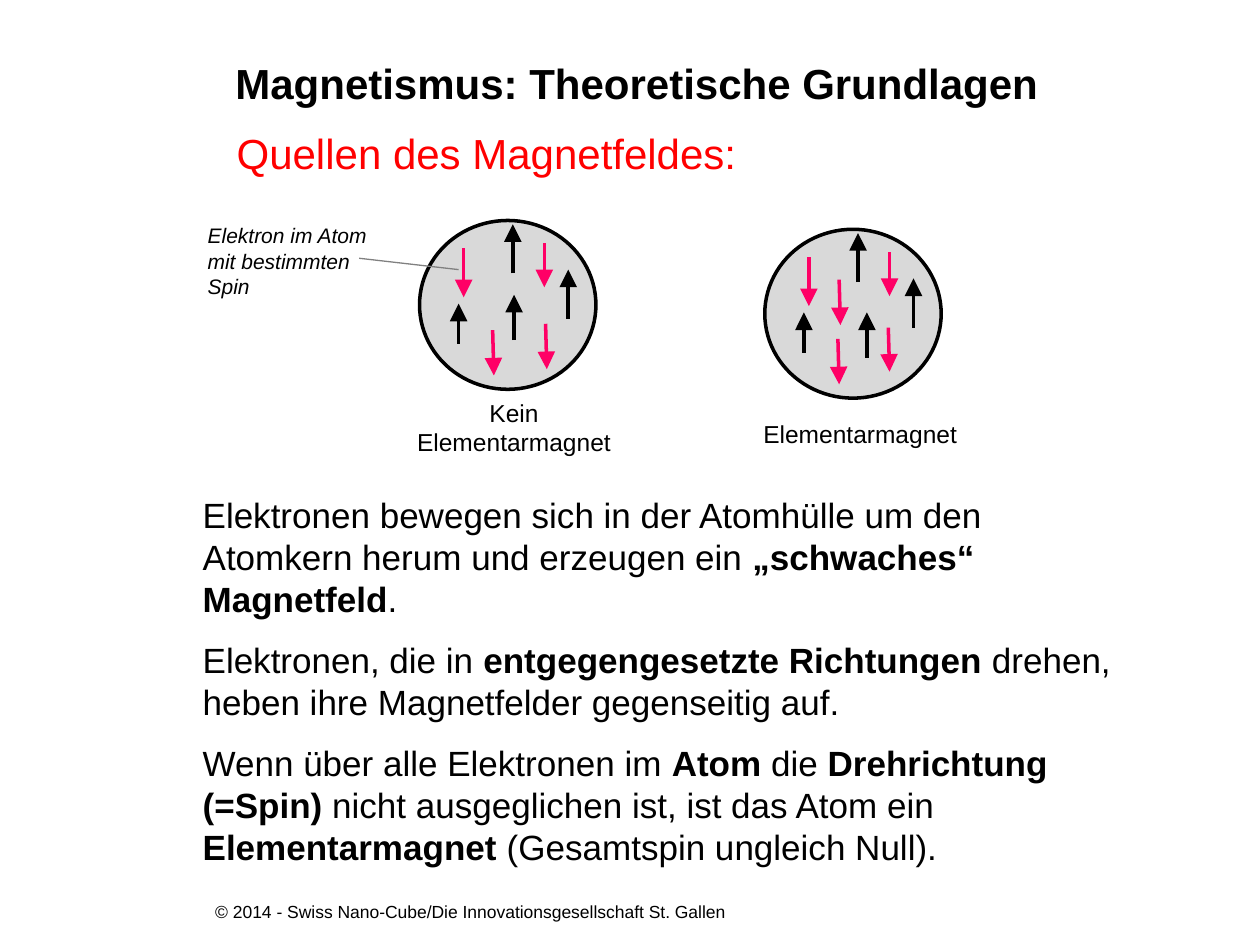
"""Builds the slide on the sources of the magnetic field."""
from lxml.etree import SubElement
from pptx import Presentation
from pptx.dml.color import RGBColor
from pptx.enum.shapes import MSO_CONNECTOR as Connector, MSO_SHAPE as Shape
from pptx.enum.text import MSO_ANCHOR as Anchor, PP_ALIGN as Align
from pptx.oxml.ns import qn
from pptx.util import Inches, Pt

COLORS = {"ink": "000000", "heading": "FF0000", "atom": "D9D9D9",
          "spin_up": "000000", "spin_down": "FF0066", "leader": "808080"}
FONT = "Arial"
ATOM_SIZE = (1.4, 1.34)

TITLE = "Magnetismus: Theoretische Grundlagen"
HEADING = "Quellen des Magnetfeldes:"
COPYRIGHT = "© 2014 - Swiss Nano-Cube/Die Innovationsgesellschaft St. Gallen"
EXPLANATIONS = [
    [("Elektronen bewegen sich in der Atomhülle um den Atomkern herum und erzeugen ein ", False),
     ("„schwaches“ Magnetfeld", True), (".", False)],
    [("Elektronen, die in ", False), ("entgegengesetzte Richtungen ", True),
     ("drehen, heben ihre Magnetfelder gegenseitig auf.", False)],
    [("Wenn über alle Elektronen im ", False), ("Atom", True), (" die ", False),
     ("Drehrichtung (=Spin) ", True), ("nicht ausgeglichen ist, ist das Atom ein ", False),
     ("Elementarmagnet ", True), ("(Gesamtspin ungleich Null).", False)],
]

SHARED_SPINS = [(0.35, 0.22, 0, 0.39), (0.31, 0.98, 0, -0.32), (0.99, 0.18, 0, 0.35),
                (1.18, 0.78, 0, -0.39), (0.74, 0.42, 0, -0.39), (0.58, 0.87, 0.01, 0.36)]
ATOMS = [
    {"corner": (6.07, 1.82), "spins": [(0.81, 1.02, 0, -0.36), (0.98, 0.78, 0.01, 0.35),
                                       (0.59, 0.4, 0.01, 0.36)]},
    {"corner": (3.33, 1.75), "spins": [(0.75, 0.95, 0, -0.36), (1, 0.82, 0.01, 0.36)]},
]


def rgb(name):
    return RGBColor.from_string(COLORS[name])


def add_text(slide, box, paragraphs, size, color="ink", italic=False, align=Align.LEFT,
             anchor=Anchor.TOP, indent=(0, 0), gap=(0, 0)):
    frame = slide.shapes.add_textbox(*map(Inches, box)).text_frame
    frame.word_wrap = True
    frame.vertical_anchor = anchor
    before, after = gap
    for number, pieces in enumerate(paragraphs):
        paragraph = frame.add_paragraph() if number else frame.paragraphs[0]
        paragraph.alignment = align
        paragraph.space_before = Pt(before if number else 0)
        paragraph.space_after = Pt(after)
        for key, value in zip(("marL", "indent"), indent):
            paragraph._p.get_or_add_pPr().set(key, str(Inches(value)))
        for words, bold in pieces:
            run = paragraph.add_run()
            run.text = words
            run.font.name, run.font.size = FONT, Pt(size)
            run.font.bold, run.font.italic = bold, italic
            run.font.color.rgb = rgb(color)


def add_line(slide, start, end, color, width, arrow=False):
    line = slide.shapes.add_connector(Connector.STRAIGHT, *map(Inches, (*start, *end)))
    line.line.color.rgb = rgb(color)
    line.line.width = Pt(width)
    if arrow:
        SubElement(line.line._get_or_add_ln(), qn("a:tailEnd"), type="triangle", w="lg", len="lg")
    SubElement(line._element.spPr, qn("a:effectLst"))


def add_atom(slide, corner, spins):
    atom = slide.shapes.add_shape(Shape.OVAL, *map(Inches, corner + ATOM_SIZE))
    atom.shadow.inherit = False
    atom.fill.solid()
    atom.fill.fore_color.rgb = rgb("atom")
    atom.line.color.rgb = rgb("ink")
    atom.line.width = Pt(2)
    left, top = corner
    for x, y, dx, dy in SHARED_SPINS + spins:
        add_line(slide, (left + x, top + y), (left + x + dx, top + y + dy),
                 "spin_down" if dy > 0 else "spin_up", 2, arrow=True)


def main():
    deck = Presentation()
    deck.slide_width, deck.slide_height = Inches(10), Inches(7.5)
    slide = deck.slides.add_slide(deck.slide_layouts[6])

    add_text(slide, (1.61, 7.1, 4.72, 0.27), [[(COPYRIGHT, False)]], 10, anchor=Anchor.MIDDLE)
    add_text(slide, (1.77, 0.31, 7.47, 0.69), [[(TITLE, True)]], 24, anchor=Anchor.MIDDLE)
    add_text(slide, (1.78, 0.96, 7.47, 0.63), [[(HEADING, False)]], 24, "heading",
             indent=(0.38, -0.38))
    add_text(slide, (1.22, 3.87, 7.87, 3.31), EXPLANATIONS, 20, indent=(0.29, 0), gap=(4.8, 6))

    for atom in ATOMS:
        add_atom(slide, **atom)
    add_line(slide, (2.85, 2.05), (3.64, 2.14), "leader", 0.75)

    add_text(slide, (1.55, 1.72, 1.56, 0.71),
             [[("Elektron im Atom mit bestimmten Spin", False)]], 12, italic=True)
    add_text(slide, (5.96, 3.28, 1.84, 0.34), [[("Elementarmagnet", False)]], 14)
    add_text(slide, (3.16, 3.11, 1.84, 0.57), [[("Kein Elementarmagnet", False)]], 14,
             align=Align.CENTER)
    deck.save("out.pptx")


if __name__ == "__main__":
    main()
